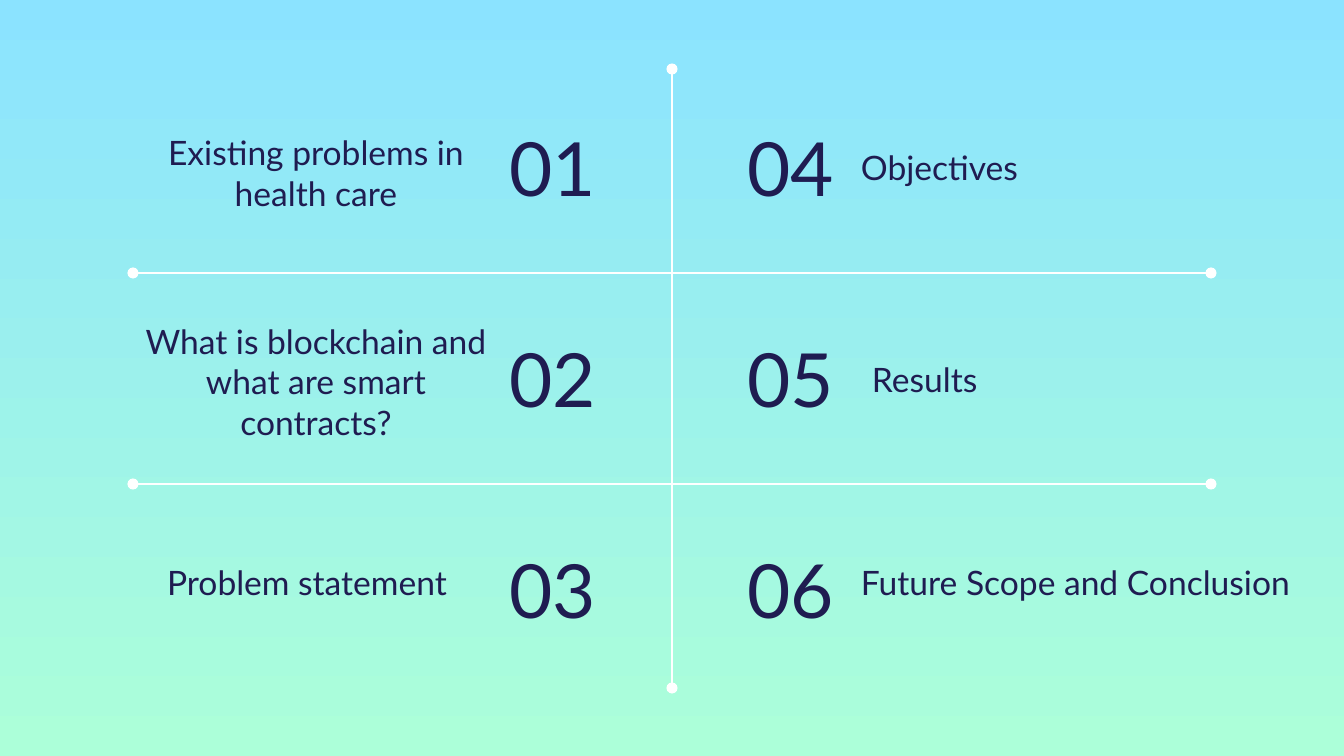
from lxml.etree import SubElement
from pptx import Presentation
from pptx.dml.color import RGBColor
from pptx.enum.shapes import MSO_CONNECTOR
from pptx.enum.text import MSO_ANCHOR, PP_ALIGN
from pptx.oxml.ns import qn
from pptx.util import Pt

EMU_PER_PX = 914400 / 134.4
SKY = RGBColor(0x8B, 0xE3, 0xFF)
MINT = RGBColor(0xAC, 0xFF, 0xD9)
NAVY = RGBColor(0x1F, 0x1C, 0x51)
WHITE = RGBColor(0xFF, 0xFF, 0xFF)

SLIDE_WIDTH, SLIDE_HEIGHT = 1344, 756
CENTER = SLIDE_WIDTH // 2
NUMBER_TOP, ROW_STEP = 109, 211
NUMBER_WIDTH, NUMBER_HEIGHT = 175, 116

# text, left, top, width, height, alignment
TOPICS = [
    ("Existing problems in health care", 116, 141, 400, 85, PP_ALIGN.CENTER),
    ("What is blockchain and what are smart contracts?",
     116, 388, 400, 67, PP_ALIGN.CENTER),
    ("Problem statement", 60, 548, 400, 67, PP_ALIGN.RIGHT),
    ("Objectives", 848, 133, 400, 67, PP_ALIGN.LEFT),
    ("Results", 859, 345, 400, 67, PP_ALIGN.LEFT),
    ("Future Scope and Conclusion", 848, 548, 496, 67, PP_ALIGN.LEFT),
]


def px(length):
    return round(length * EMU_PER_PX)


class AgendaSlide:
    font_name = "Lato"
    inset = 13

    def __init__(self, presentation):
        self.slide = presentation.slides.add_slide(presentation.slide_layouts[6])

    def background(self, top_color, bottom_color):
        fill = self.slide.background.fill
        fill.gradient()
        fill.gradient_angle = 270
        for stop, color in zip(fill.gradient_stops, (top_color, bottom_color)):
            stop.color.rgb = color

    def text(self, wording, left, top, width, height, size, align, anchor):
        box = self.slide.shapes.add_textbox(px(left), px(top), px(width), px(height))
        frame = box.text_frame
        frame.word_wrap = True
        frame.vertical_anchor = anchor
        frame.margin_left = frame.margin_right = px(self.inset)
        frame.margin_top = frame.margin_bottom = px(self.inset)
        paragraph = frame.paragraphs[0]
        paragraph.text = wording
        paragraph.alignment = align
        paragraph.font.name = self.font_name
        paragraph.font.size = Pt(size)
        paragraph.font.color.rgb = NAVY

    def divider(self, x1, y1, x2, y2):
        """Draw a white line with a dot at each end."""
        line = self.slide.shapes.add_connector(
            MSO_CONNECTOR.STRAIGHT, px(x1), px(y1), px(x2), px(y2))
        line.line.color.rgb = WHITE
        line.line.width = Pt(1.5)
        outline = line.line._get_or_add_ln()
        for end in ("a:headEnd", "a:tailEnd"):
            SubElement(outline, qn(end), type="oval")
        SubElement(line._element.spPr, qn("a:effectLst"))


def main():
    presentation = Presentation()
    presentation.slide_width = px(SLIDE_WIDTH)
    presentation.slide_height = px(SLIDE_HEIGHT)
    agenda = AgendaSlide(presentation)
    agenda.background(SKY, MINT)

    agenda.divider(CENTER, 69, CENTER, 688)
    for y in (273, 273 + ROW_STEP):
        agenda.divider(133, y, SLIDE_WIDTH - 133, y)

    for index, (topic, left, top, width, height, align) in enumerate(TOPICS):
        column, row = divmod(index, 3)
        number_left = CENTER if column else CENTER - NUMBER_WIDTH - 1
        number_align = PP_ALIGN.RIGHT if column else PP_ALIGN.LEFT
        agenda.text(f"{index + 1:02}", number_left, NUMBER_TOP + row * ROW_STEP,
                    NUMBER_WIDTH, NUMBER_HEIGHT, 40, number_align, MSO_ANCHOR.MIDDLE)
        agenda.text(topic, left, top, width, height, 18, align, MSO_ANCHOR.BOTTOM)

    presentation.save("out.pptx")


if __name__ == "__main__":
    main()
